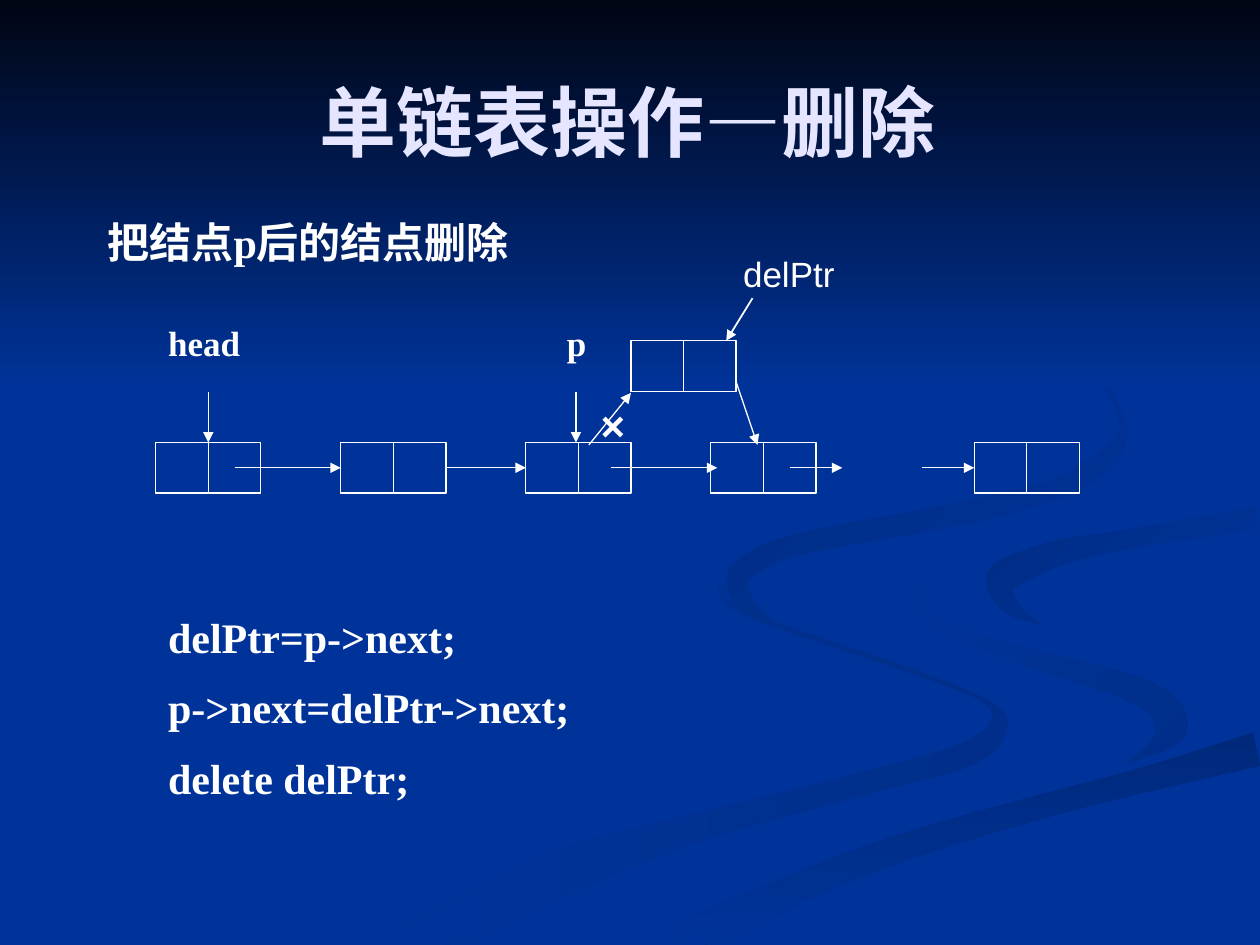
from dataclasses import dataclass
from math import hypot

from lxml.etree import SubElement
from pptx import Presentation
from pptx.dml.color import RGBColor
from pptx.enum.shapes import MSO_CONNECTOR, MSO_SHAPE
from pptx.enum.text import MSO_ANCHOR as Anchor, MSO_AUTO_SIZE as AutoSize, PP_ALIGN as Align
from pptx.oxml.ns import qn
from pptx.util import Cm, Pt


@dataclass(frozen=True)
class Theme:
    background: str = "003399"
    night: str = "000514"
    ribbon_long: str = "002E8A"
    ribbon_low: str = "00297C"
    ribbon_right: str = "002C85"
    ribbon_top: str = "002B81"
    title: str = "E5E5FF"
    ink: str = "FFFFFF"
    serif: str = "Times New Roman"
    sans: str = "Arial"
    title_size: int = 44
    body_size: int = 24
    label_size: int = 20
    thin: float = 0.75
    medium: float = 1


theme = Theme()
slide_width, slide_height = 25.4, 19.05


def format_text(frame, size, font, color=theme.ink, bold=True, align=Align.LEFT, spacing=None):
    for paragraph in frame.paragraphs:
        paragraph.alignment = align
        paragraph.line_spacing = spacing
        for run in paragraph.runs:
            run.font.size = Pt(size)
            run.font.name = font
            run.font.bold = bold
            run.font.color.rgb = RGBColor.from_string(color)


def ribbon_outline(stations, steps=6):
    padded = [stations[0], *stations, stations[-1]]
    curve = []
    for before, start, end, after in zip(padded, padded[1:], padded[2:], padded[3:]):
        for step in range(steps):
            t = step / steps
            curve.append([
                b + t * (c - a) / 2 + t**2 * (2 * a - 5 * b + 4 * c - d) / 2
                + t**3 * (3 * b - a - 3 * c + d) / 2
                for a, b, c, d in zip(before, start, end, after)])
    curve.append(stations[-1])
    left_edge, right_edge = [], []
    for index, (x, y, thickness) in enumerate(curve):
        previous, following = curve[max(index - 1, 0)], curve[min(index + 1, len(curve) - 1)]
        run_x, run_y = following[0] - previous[0], following[1] - previous[1]
        offset = thickness / 2 / hypot(run_x, run_y)
        for edge, side in ((left_edge, offset), (right_edge, -offset)):
            edge.append((min(x + side * run_y, slide_width), min(y - side * run_x, slide_height)))
    return left_edge + right_edge[::-1]


presentation = Presentation()
presentation.slide_width = Cm(slide_width)
presentation.slide_height = Cm(slide_height)
slide = presentation.slides.add_slide(presentation.slide_layouts[5])
slide.background.fill.solid()
slide.background.fill.fore_color.rgb = RGBColor.from_string(theme.background)

# stations: x, y, thickness
long_ribbon = ribbon_outline([
    (8.4, 19, 0.8), (11.3, 17.6, 0.9), (14, 16.7, 0.55), (17.4, 15.8, 0.45), (19.5, 15.2, 0.5),
    (20.14, 14.6, 0.36), (19.8, 14.1, 0.1), (18.3, 13.5, 0.1), (15, 12.35, 0.1), (14.54, 11.8, 0.1)])
inner_ribbon = ribbon_outline([
    (18.4, 11.8, 0), (18.6, 12.3, 0.1), (19.4, 12.8, 0.2), (20.9, 13.3, 0.36),
    (22.6, 13.8, 0.5), (23.4, 14.2, 0.6), (23.6, 14.65, 0.7), (23.35, 15, 0.35), (22.7, 15.4, 0)])
low_ribbon = ribbon_outline([
    (13.7, 19, 0.7), (16.2, 17.85, 0.58), (18.3, 17.05, 0.52), (20.85, 16.3, 0.47),
    (22.95, 15.75, 0.49), (25.35, 15.1, 0.69)])
right_ribbon = ribbon_outline([
    (21, 12.6, 0), (20.4, 12.25, 0.3), (20.15, 11.75, 0.55), (20.45, 11.5, 0.6),
    (21.4, 11.13, 0.5), (22.85, 10.85, 0.38), (25.35, 10.45, 0.46)])
top_ribbon = ribbon_outline([
    (15.8, 12.7, 0), (15.1, 12.25, 0.3), (14.86, 11.75, 0.4), (15.1, 11.4, 0.45),
    (16.2, 10.95, 0.42), (19.4, 10.35, 0.45), (21.3, 9.85, 0.42), (22.3, 9.25, 0.4),
    (22.64, 8.6, 0.14), (22.2, 7.65, 0.08), (21.4, 7.03, 0.04), (19.35, 5.92, 0)])
night_sky = [(0, 0), (0, 7.82), (slide_width, 7.82), (slide_width, 0)]

leftward, downward, diagonal = 180, 270, 135
for outline, start_color, end_color, direction in [
    (long_ribbon, theme.ribbon_long, theme.background, leftward),
    (inner_ribbon, theme.ribbon_long, theme.background, diagonal),
    (low_ribbon, theme.ribbon_low, theme.background, downward),
    (right_ribbon, theme.background, theme.ribbon_right, diagonal),
    (top_ribbon, theme.background, theme.ribbon_top, diagonal),
    (night_sky, theme.night, theme.background, downward),
]:
    points = [(Cm(x), Cm(y)) for x, y in outline]
    builder = slide.shapes.build_freeform(*points[0])
    builder.add_line_segments(points[1:], close=True)
    shape = builder.convert_to_shape()
    shape.shadow.inherit = False
    shape.line.fill.background()
    shape.fill.gradient()
    shape.fill.gradient_angle = direction
    for stop, color in zip(shape.fill.gradient_stops, (start_color, end_color)):
        stop.color.rgb = RGBColor.from_string(color)

title = slide.shapes.title
title.element.getparent().append(title.element)
title.left, title.top, title.width, title.height = Cm(1.87), Cm(0.84), Cm(21.59), Cm(3.18)
title.text_frame.text = "单链表操作—删除"
title.text_frame.vertical_anchor = Anchor.MIDDLE
format_text(title.text_frame, theme.title_size, theme.serif, theme.title, align=Align.CENTER)

cell_width, cell_height = 1.06, 1.02
row_top, raised_top = 8.92, 6.87
first, second, third, fourth = [3.14 + 3.73 * index for index in range(4)]
last, deleted = 19.64, 12.72
nodes = [(left, row_top) for left in (first, second, third, fourth, last)]
nodes.append((deleted, raised_top))
for node_left, node_top in nodes:
    for cell in range(2):
        shape = slide.shapes.add_shape(
            MSO_SHAPE.RECTANGLE, Cm(node_left + cell * cell_width), Cm(node_top),
            Cm(cell_width), Cm(cell_height))
        shape.shadow.inherit = False
        shape.fill.background()
        shape.line.color.rgb = RGBColor.from_string(theme.ink)
        shape.line.width = Pt(theme.thin)

row_middle = row_top + cell_height / 2
node_width = 2 * cell_width
next_field = 1.5 * cell_width
deleted_right = deleted + node_width
row_links = [
    (first + next_field, second),
    (second + node_width, third),
    (third + next_field + 0.13, fourth + 0.13),
    (fourth + next_field, fourth + next_field + cell_width),
    (last - cell_width, last),
]
pointers = [first + cell_width, third + cell_width - 0.05]
arrows = [(start, row_middle, end, row_middle, theme.thin) for start, end in row_links]
arrows += [(x, row_top - cell_height, x, row_top, theme.thin) for x in pointers]
arrows += [
    (deleted_right, raised_top + 0.83, fourth + 0.94, row_top + 0.05, theme.thin),
    (third + 1.27, row_top + 0.05, deleted, raised_top + cell_height + 0.03, theme.thin),
    (deleted_right + 0.33, raised_top - 0.86, deleted_right - 0.2, raised_top, theme.medium),
]
for start_x, start_y, end_x, end_y, line_width in arrows:
    arrow = slide.shapes.add_connector(
        MSO_CONNECTOR.STRAIGHT, Cm(start_x), Cm(start_y), Cm(end_x), Cm(end_y))
    arrow.line.color.rgb = RGBColor.from_string(theme.ink)
    arrow.line.width = Pt(line_width)
    SubElement(arrow.element.spPr.find(qn("a:ln")), qn("a:tailEnd"), type="triangle")
    SubElement(arrow.element.spPr, qn("a:effectLst"))

code = "delPtr=p->next;\np->next=delPtr->next;\ndelete delPtr;"
label_top = 6.35
for text, left, top, width, height, size, font, bold, spacing in [
    ("把结点p后的结点删除", 1.92, 4.24, 10.8, 1.27, theme.body_size, theme.serif, True, None),
    ("head", first, label_top, 2.67, 1.55, theme.label_size, theme.serif, True, None),
    ("p", 11.18, label_top, 1.47, 1.55, theme.label_size, theme.serif, True, None),
    ("delPtr", 14.73, 4.96, 2.54, 1.02, theme.label_size, theme.sans, False, None),
    ("×", 11.86, 7.92, 1.07, 1.27, theme.body_size, theme.sans, True, None),
    (code, first, 11.79, 10.16, 4.52, theme.body_size, theme.serif, True, 1.4),
]:
    box = slide.shapes.add_textbox(Cm(left), Cm(top), Cm(width), Cm(height))
    frame = box.text_frame
    frame.word_wrap = True
    frame.auto_size = AutoSize.NONE
    frame.text = text
    format_text(frame, size, font, bold=bold, spacing=spacing)

presentation.save("out.pptx")
